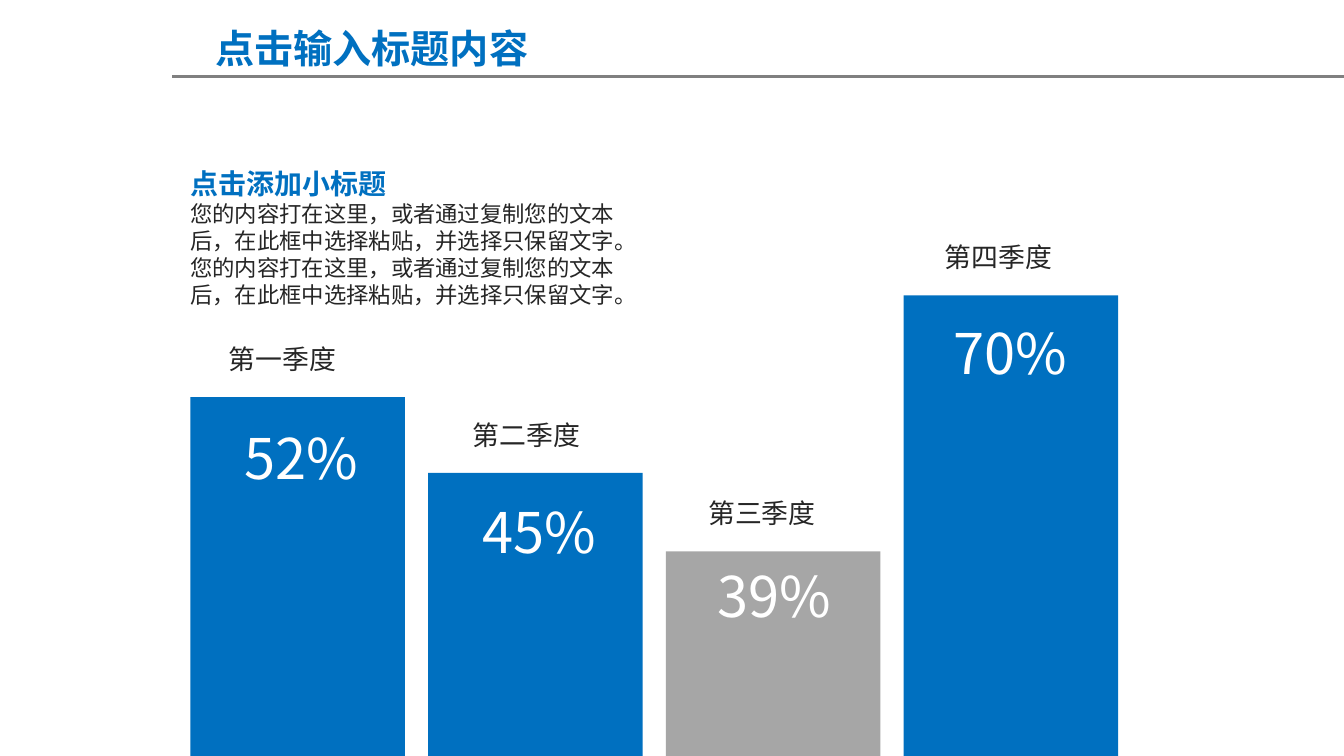
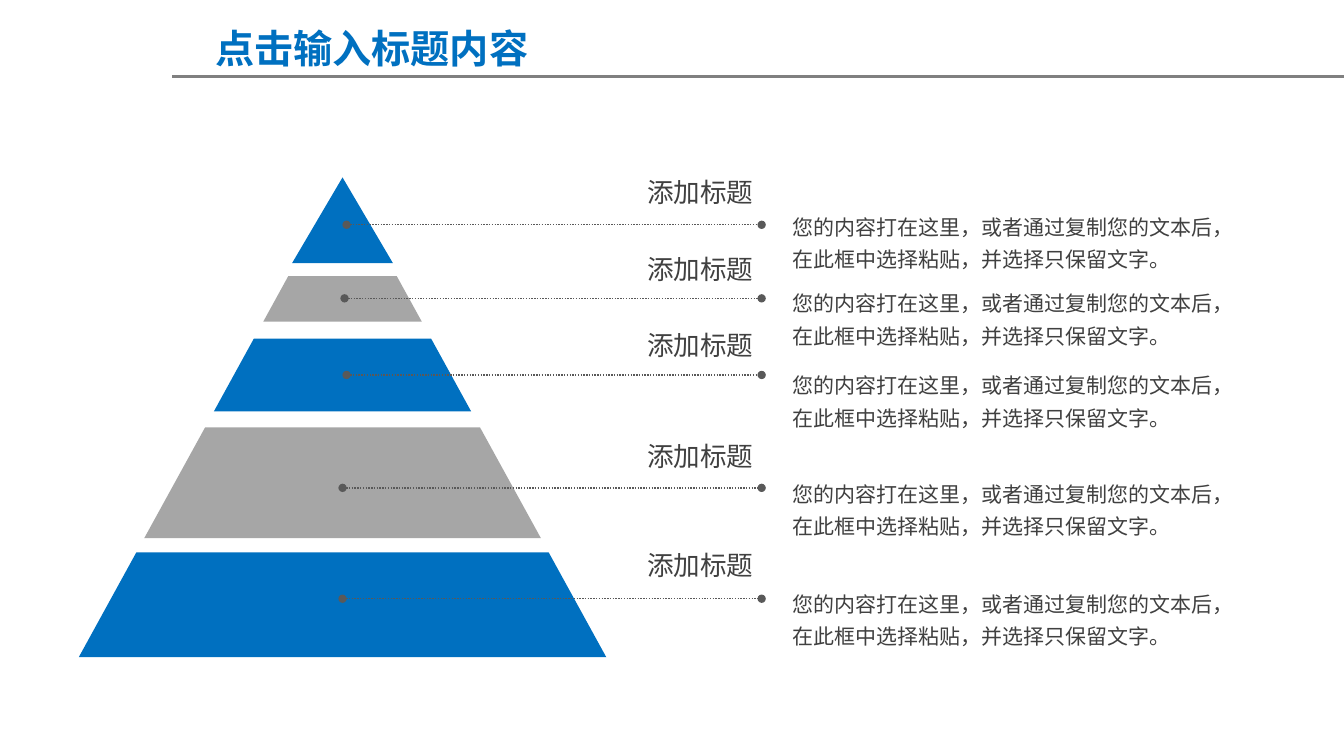
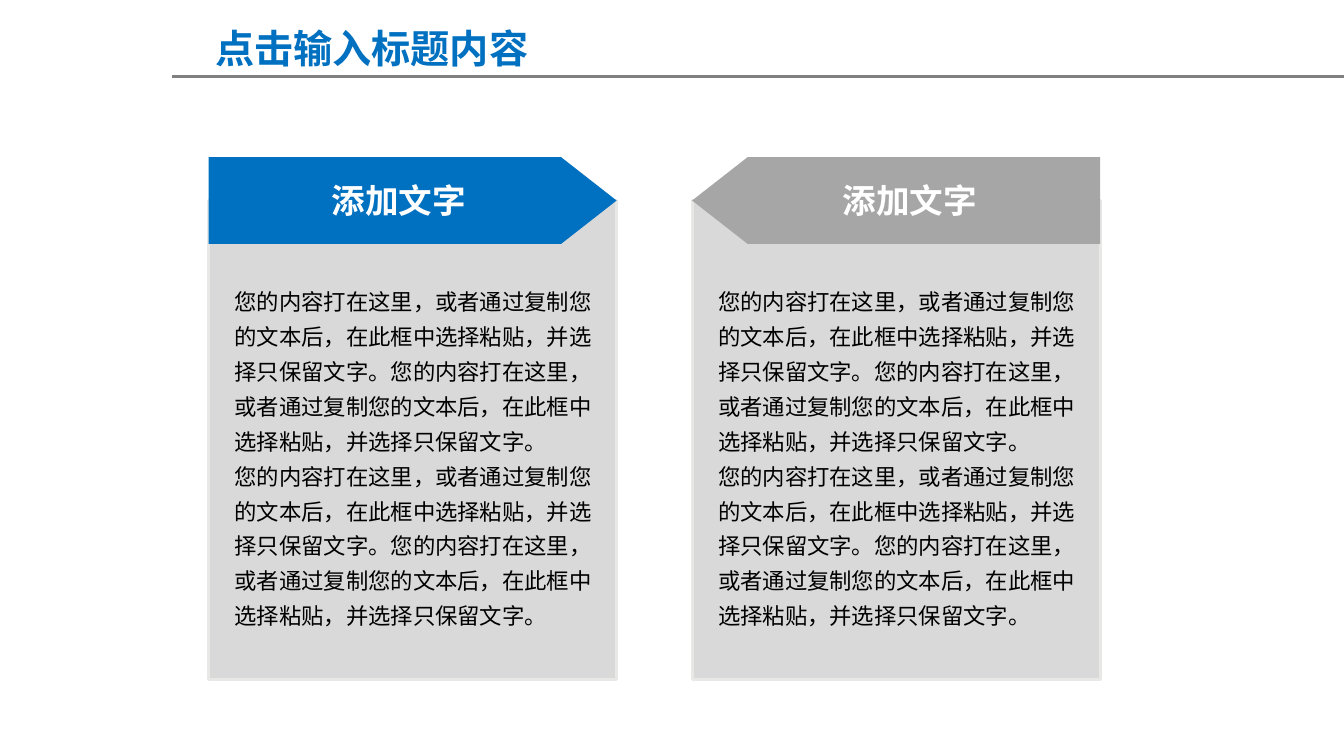
from lxml.etree import SubElement
from pptx import Presentation
from pptx.dml.color import RGBColor
from pptx.enum.dml import MSO_LINE as Dash
from pptx.enum.shapes import MSO_CONNECTOR as Link, MSO_SHAPE as Form
from pptx.enum.text import MSO_ANCHOR as Anchor, MSO_AUTO_SIZE as Fit, PP_ALIGN as Align
from pptx.oxml.ns import qn
from pptx.util import Inches, Pt

BLUE = RGBColor(0x00, 0x70, 0xC0)
GRAY = RGBColor(0xA6, 0xA6, 0xA6)
PALE = RGBColor(0xD9, 0xD9, 0xD9)
EDGE = RGBColor(0xE8, 0xE8, 0xE6)
RULE = RGBColor(0x80, 0x80, 0x80)
DOTS = RGBColor(0x59, 0x59, 0x59)
INK = RGBColor(0x26, 0x26, 0x26)
SOFT = RGBColor(0x40, 0x40, 0x40)
BLACK = RGBColor(0, 0, 0)
WHITE = RGBColor(0xFF, 0xFF, 0xFF)
FONT = "Noto Sans CJK SC"
WIDE, HIGH = 13.34, 7.5
BODY = "您的内容打在这里，或者通过复制您的文本后，在此框中选择粘贴，并选择只保留文字。"


def add_run(para, text, size, color, bold=False):
    """Add one styled run to a paragraph and return it."""
    run = para.add_run()
    run.text = text
    font = run.font
    font.size, font.bold, font.name = Pt(size), bold, FONT
    font.color.rgb = color
    SubElement(font._element, qn("a:ea"), typeface=FONT)
    return run


def add_text(slide, box, parts, align=Align.LEFT, wrap=True, pad=(0.1, 0.05)):
    """Add a text box; each part is text, size, colour, bold, line spacing."""
    frame = slide.shapes.add_textbox(*map(Inches, box)).text_frame
    frame.word_wrap, frame.auto_size = wrap, Fit.SHAPE_TO_FIT_TEXT
    frame.margin_left = frame.margin_right = Inches(pad[0])
    frame.margin_top = frame.margin_bottom = Inches(pad[1])
    for i, (text, size, color, bold, space) in enumerate(parts):
        para = frame.add_paragraph() if i else frame.paragraphs[0]
        para.alignment, para.line_spacing = align, space
        add_run(para, text, size, color, bold)
    return frame


def paint(shape, fill, edge=None):
    """Give a shape a flat fill and an optional edge."""
    shape.shadow.inherit = False
    shape.fill.solid()
    shape.fill.fore_color.rgb = fill
    if edge is None:
        shape.line.fill.background()
    else:
        shape.line.color.rgb = edge
        shape.line.width = Pt(2)
    return shape


def add_shape(slide, form, box, fill, edge=None):
    """Add a flat preset shape."""
    return paint(slide.shapes.add_shape(form, *map(Inches, box)), fill, edge)


def add_line(slide, left, right, top, color, width):
    """Add a level line without a shadow."""
    ends = map(Inches, (left, top, right, top))
    link = slide.shapes.add_connector(Link.STRAIGHT, *ends)
    link.line.color.rgb = color
    link.line.width = Pt(width)
    SubElement(link._element.spPr, qn("a:effectLst"))
    return link


def add_page(deck):
    """Add a blank slide with the shared rule and title."""
    slide = deck.slides.add_slide(deck.slide_layouts[6])
    add_line(slide, 1.71, WIDE, 0.76, RULE, 2)
    add_text(slide, (1.89, 0.19, 3.6, 0.57),
             [("点击输入标题内容", 28, BLUE, True, 1.0)], Align.CENTER)
    return slide


def add_bar(slide, left, top, width, bar):
    """Draw a bar down to the slide's foot, with its value and label."""
    name, value, fill, shift, drop, inset = bar
    add_shape(slide, Form.RECTANGLE, (left, top, width, HIGH - top), fill)
    add_text(slide, (left + inset, top + drop, 1.36, 0.77),
             [(value, 40, WHITE, False, 1.0)], wrap=False)
    label = add_text(slide, (left + shift, top - 0.6, 1.54, 0.44),
                     [(name, 24, INK, False, 0.9)], pad=(0.08, 0.04))
    label.paragraphs[0].runs[0].font._element.set("cap", "small")


def bar_page(deck):
    """Build the slide of quarterly bars."""
    slide = add_page(deck)
    bars = [
        (3.94, ("第一季度", "52%", BLUE, 0.3, 0.21, 0.44)),
        (4.69, ("第二季度", "45%", BLUE, 0.36, 0.2, 0.44)),
        (5.47, ("第三季度", "39%", GRAY, 0.34, 0.05, 0.41)),
        (2.93, ("第四季度", "70%", BLUE, 0.33, 0.18, 0.4)),
    ]
    for i, (top, bar) in enumerate(bars):
        add_bar(slide, 1.89 + 2.36 * i, top, 2.13, bar)
    note = (BODY, 16, INK, False, 1.0)
    add_text(slide, (1.79, 1.27, 4.62, 1.85),
             [("点击添加小标题", 20, BLUE, True, 2.0), note, note])


def add_tier(slide, mid, peak, top, foot, fill):
    """Draw one slice of a pyramid from its centre line and peak."""
    slope = 0.55
    high, low = slope * (top - peak), slope * (foot - peak)
    spots = [(mid + high, top), (mid + low, foot), (mid - low, foot)]
    pen = slide.shapes.build_freeform(Inches(mid - high), Inches(top))
    pen.add_line_segments([(Inches(x), Inches(y)) for x, y in spots])
    paint(pen.convert_to_shape(), fill)


def add_callout(slide, start, top, head, body):
    """Draw a dotted leader at a height, with its heading and text."""
    link = add_line(slide, start, 7.56, top, DOTS, 1)
    link.line.dash_style = Dash.ROUND_DOT
    for tag in ("a:headEnd", "a:tailEnd"):
        SubElement(link.line._ln, qn(tag), type="oval")
    pad = (0.11, 0.05)
    add_text(slide, (7.76, body, 4.42, 0.76),
             [(BODY, 15, SOFT, False, 1.3)], pad=pad)
    add_text(slide, (6.31, head, 1.28, 0.43),
             [("添加标题", 19, SOFT, False, 1.0)], Align.CENTER, False, pad)


def tier_page(deck):
    """Build the pyramid slide."""
    slide = add_page(deck)
    mid, peak = 3.4, 1.76
    add_shape(slide, Form.ISOSCELES_TRIANGLE, (mid - 0.5, peak, 1, 0.85), BLUE)
    tiers = [(2.74, 3.19, GRAY), (3.36, 4.08, BLUE),
             (4.24, 5.34, GRAY), (5.48, 6.52, BLUE)]
    for top, foot, fill in tiers:
        add_tier(slide, mid, peak, top, foot, fill)
    notes = [(3.44, 2.23, 1.7, 2), (3.42, 2.96, 2.46, 2.76),
             (3.44, 3.72, 3.21, 3.57), (3.4, 4.84, 4.32, 4.65),
             (3.4, 5.94, 5.4, 5.74)]
    for note in notes:
        add_callout(slide, *note)


def add_card(slide, left, top, fill, flip):
    """Draw a panel under a pointed heading, with two paragraphs."""
    width = 4.05
    add_shape(slide, Form.RECTANGLE, (left, top + 0.43, width, 4.75), PALE, EDGE)
    flag = add_shape(slide, Form.PENTAGON, (left, top, width, 0.86), fill)
    flag.adjustments[0] = 0.64
    if flip:
        flag._element.spPr.find(qn("a:xfrm")).set("flipH", "1")
    frame = flag.text_frame
    frame.word_wrap, frame.vertical_anchor = False, Anchor.MIDDLE
    para = frame.paragraphs[0]
    para.alignment = Align.CENTER
    add_run(para, "添加文字", 24, WHITE, True)
    add_text(slide, (left + 0.16, top + 1.17, width - 0.16, 3.6),
             [(BODY * 2, 16, BLACK, False, 1.3)] * 2)


def card_page(deck):
    """Build the slide of two facing cards."""
    slide = add_page(deck)
    add_card(slide, 2.07, 1.56, BLUE, False)
    add_card(slide, 6.87, 1.56, GRAY, True)


def main():
    """Build and save the deck."""
    deck = Presentation()
    deck.slide_width, deck.slide_height = Inches(WIDE), Inches(HIGH)
    for build in (bar_page, tier_page, card_page):
        build(deck)
    deck.save("out.pptx")


if __name__ == "__main__":
    main()
